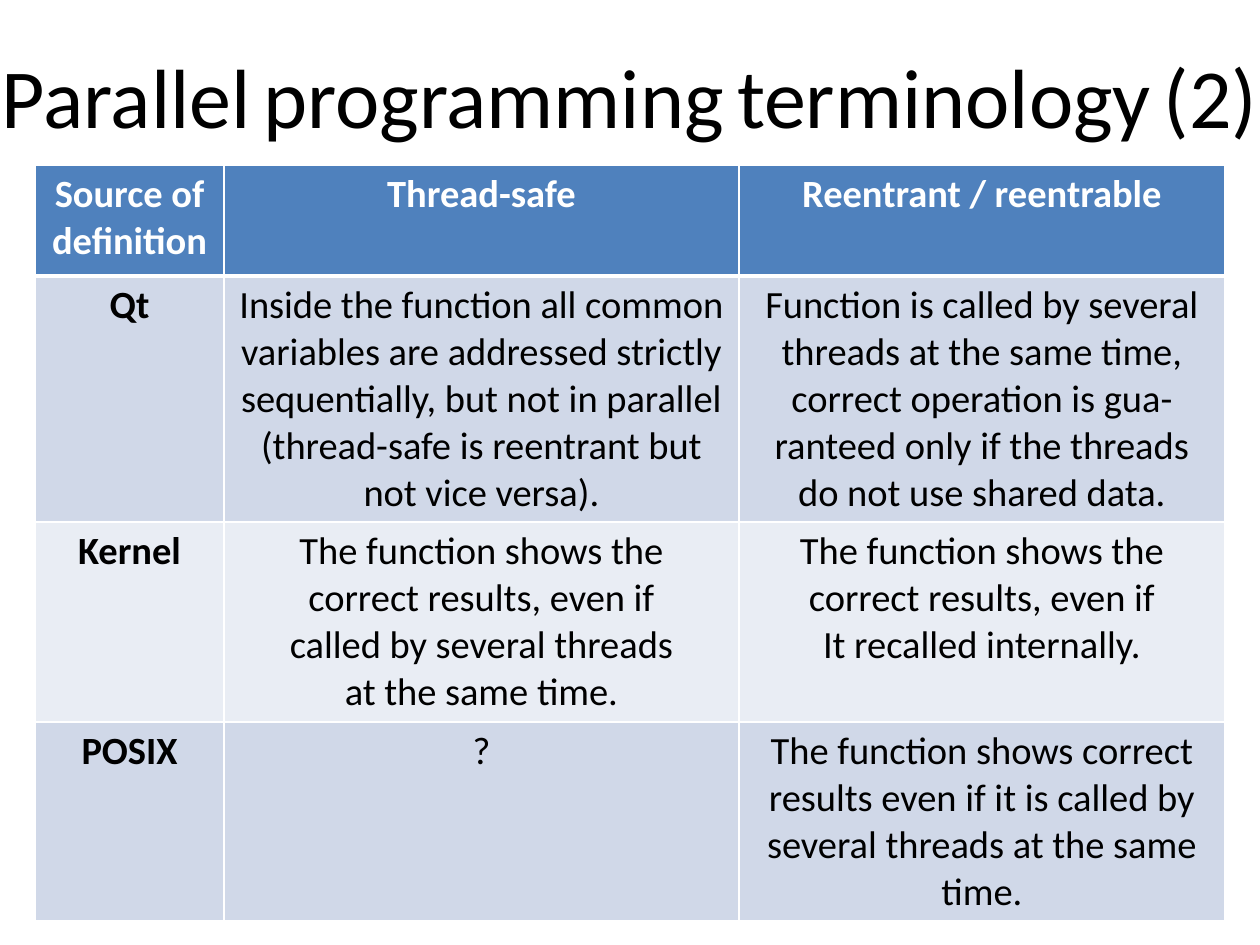
from lxml import etree
from pptx import Presentation
from pptx.dml.color import RGBColor
from pptx.enum.text import MSO_ANCHOR, PP_ALIGN
from pptx.oxml.ns import qn
from pptx.util import Emu, Pt

SCALE = 914400 // 126
CENTER = PP_ALIGN.CENTER
MIDDLE = MSO_ANCHOR.MIDDLE
FONT = "Calibri"
BLACK, WHITE, HEADER_BLUE = "000000", "FFFFFF", "4F81BD"
BANDS = ("D0D8E8", "E9EDF4")

TITLE_WORDS = ("Parallel", "programming", "terminology", "(2)")
COLUMN_WIDTHS = (189, 515, 486)
ROW_HEIGHTS = (111, 246, 200, 199)
DEFINITIONS = (
    ("Source of definition", "Thread-safe", "Reentrant / reentrable"),
    ("Qt",
     "Inside the function all common variables are addressed strictly "
     "sequentially, but not in parallel (thread-safe is reentrant but "
     "not vice versa).",
     "Function is called by several threads at the same time, correct "
     "operation is gua-ranteed only if the threads do not use shared data."),
    ("Kernel",
     "The function shows the\ncorrect results, even if\n"
     "called by several threads\nat the same time.",
     "The function shows the\ncorrect results, even if\n"
     "It recalled internally."),
    ("POSIX", "?",
     "The function shows correct results even if it is called by "
     "several threads at the same time."),
)


def px(length):
    return Emu(length * SCALE)


def color(value):
    return RGBColor.from_string(value)


def add_span(para, text, size, fill=BLACK, bold=False):
    span = para.add_run()
    span.text = text
    formats = {"name": FONT, "size": Pt(size), "bold": bold}
    for name, value in formats.items():
        setattr(span.font, name, value)
    span.font.color.rgb = color(fill)


def add_title(page):
    box = page.shapes.add_textbox(px(-25), px(0), px(1309), px(189))
    frame = box.text_frame
    for name, value in {"word_wrap": True, "vertical_anchor": MIDDLE}.items():
        setattr(frame, name, value)
    para = frame.paragraphs[0]
    para.alignment = CENTER
    for index, word in enumerate(TITLE_WORDS):
        if index:
            add_span(para, " ", 32)
        add_span(para, word, 48)


def add_borders(cell, bottom_width):
    properties = cell._tc.get_or_add_tcPr()
    widths = {"a:lnL": 1, "a:lnR": 1, "a:lnT": 1, "a:lnB": bottom_width}
    for tag, width in widths.items():
        line = etree.SubElement(properties, qn(tag), w=str(Pt(width)))
        fill = etree.SubElement(line, qn("a:solidFill"))
        etree.SubElement(fill, qn("a:srgbClr"), val=WHITE)


def fill_cell(cell, text, row, column):
    header = row == 0
    add_borders(cell, 3 if header else 1)
    cell.fill.solid()
    cell.fill.fore_color.rgb = color(
        HEADER_BLUE if header else BANDS[(row - 1) % 2])
    frame = cell.text_frame
    for index, line in enumerate(text.split("\n")):
        para = frame.add_paragraph() if index else frame.paragraphs[0]
        para.alignment = CENTER
        add_span(para, line, 22, WHITE if header else BLACK,
                 header or column == 0)


def add_definitions(page):
    table = page.shapes.add_table(
        len(ROW_HEIGHTS), len(COLUMN_WIDTHS), px(35), px(165),
        px(sum(COLUMN_WIDTHS)), px(sum(ROW_HEIGHTS))).table
    for column, width in zip(table.columns, COLUMN_WIDTHS):
        column.width = px(width)
    for row, height in zip(table.rows, ROW_HEIGHTS):
        row.height = px(height)
    for row, texts in enumerate(DEFINITIONS):
        for column, text in enumerate(texts):
            fill_cell(table.cell(row, column), text, row, column)


def main():
    deck = Presentation()
    deck.slide_width, deck.slide_height = px(1260), px(945)
    page = deck.slides.add_slide(deck.slide_layouts[6])
    add_title(page)
    add_definitions(page)
    deck.save("out.pptx")


main()
